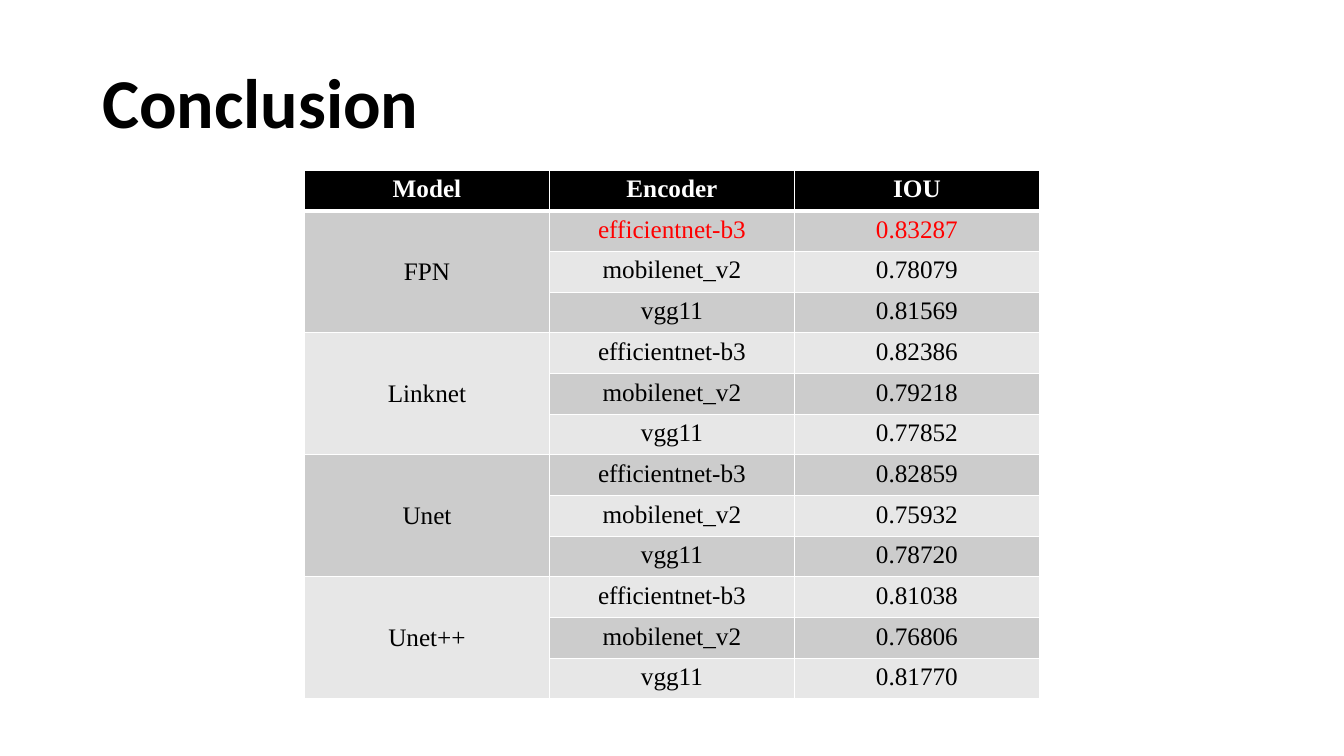
from lxml import etree
from pptx import Presentation
from pptx.dml.color import RGBColor
from pptx.enum.text import MSO_ANCHOR, PP_ALIGN
from pptx.oxml.ns import qn
from pptx.util import Pt

PX = 9525
CENTER, LEFT = PP_ALIGN.CENTER, PP_ALIGN.LEFT
TOP, MIDDLE = MSO_ANCHOR.TOP, MSO_ANCHOR.MIDDLE
BLACK, WHITE, RED = "000000", "FFFFFF", "FF0000"
BANDS = ("E7E7E7", "CCCCCC")
HEADERS = ("Model", "Encoder", "IOU")
ENCODERS = ("efficientnet-b3", "mobilenet_v2", "vgg11")
SCORES = {
    "FPN": ("0.83287", "0.78079", "0.81569"),
    "Linknet": ("0.82386", "0.79218", "0.77852"),
    "Unet": ("0.82859", "0.75932", "0.78720"),
    "Unet++": ("0.81038", "0.76806", "0.81770"),
}


def px(n):
    """Turn px into whole EMU."""
    return round(n * PX)


def rgb(color):
    """Turn a hex string into a colour."""
    return RGBColor.from_string(color)


def write(tf, text, size=18, font="Times New Roman", color=BLACK, bold=False,
          align=CENTER, spacing=1.0):
    """Write one formatted paragraph into a text frame."""
    p = tf.paragraphs[0]
    p.alignment, p.line_spacing = align, spacing
    r = p.add_run()
    r.text = text
    r.font.size, r.font.name, r.font.bold = Pt(size), font, bold
    r.font.color.rgb = rgb(color)


def set_borders(cell, bottom=1):
    """Draw white lines on the four sides of a cell."""
    tc_pr = cell._tc.get_or_add_tcPr()
    for side, width in (("L", 1), ("R", 1), ("T", 1), ("B", bottom)):
        ln = etree.SubElement(tc_pr, qn(f"a:ln{side}"), w=str(Pt(width)))
        fill = etree.SubElement(ln, qn("a:solidFill"))
        etree.SubElement(fill, qn("a:srgbClr"), val=WHITE)


def style_cell(cell, fill, bottom=1, anchor=TOP):
    """Set the borders, fill and anchor of a cell."""
    set_borders(cell, bottom)
    cell.fill.solid()
    cell.fill.fore_color.rgb = rgb(fill)
    cell.vertical_anchor = anchor


def add_title(slide, text, x, y, w, h):
    """Place the slide title in its box."""
    sp = slide.shapes.add_textbox(px(x), px(y), px(w), px(h))
    tf = sp.text_frame
    tf.word_wrap = True
    tf.vertical_anchor = MIDDLE
    write(tf, text, size=50, font="Calibri", bold=True, align=LEFT, spacing=0.9)


def add_score_table(slide, x, y, w, h):
    """Place the score table, with the best score in red."""
    step = len(ENCODERS)
    n_rows, n_cols = 1 + step * len(SCORES), len(HEADERS)
    table = slide.shapes.add_table(n_rows, n_cols, px(x), px(y), px(w), px(h)).table
    table.first_row = table.horz_banding = False
    for col in table.columns:
        col.width = px(w / n_cols)
    for row in table.rows:
        row.height = px(h / n_rows)

    for c, header in enumerate(HEADERS):
        cell = table.cell(0, c)
        style_cell(cell, BLACK, bottom=3)
        write(cell.text_frame, header, color=WHITE, bold=True)
    for r in range(1, n_rows):
        for c in range(n_cols):
            style_cell(table.cell(r, c), BANDS[r % 2], anchor=TOP if c else MIDDLE)

    best = max(max(scores) for scores in SCORES.values())
    for i, (model, scores) in enumerate(SCORES.items()):
        first = 1 + i * step
        table.cell(first, 0).merge(table.cell(first + step - 1, 0))
        write(table.cell(first, 0).text_frame, model)
        for r, (encoder, score) in enumerate(zip(ENCODERS, scores), first):
            color = RED if score == best else BLACK
            write(table.cell(r, 1).text_frame, encoder, color=color)
            write(table.cell(r, 2).text_frame, score, color=color)


def main():
    """Build and save the slide."""
    prs = Presentation()
    prs.slide_width, prs.slide_height = px(1280), px(720)
    slide = prs.slides.add_slide(prs.slide_layouts[6])
    add_title(slide, "Conclusion", 88, 31, 1104, 139)
    add_score_table(slide, 290, 162, 700, 504)
    prs.save("out.pptx")


if __name__ == "__main__":
    main()
